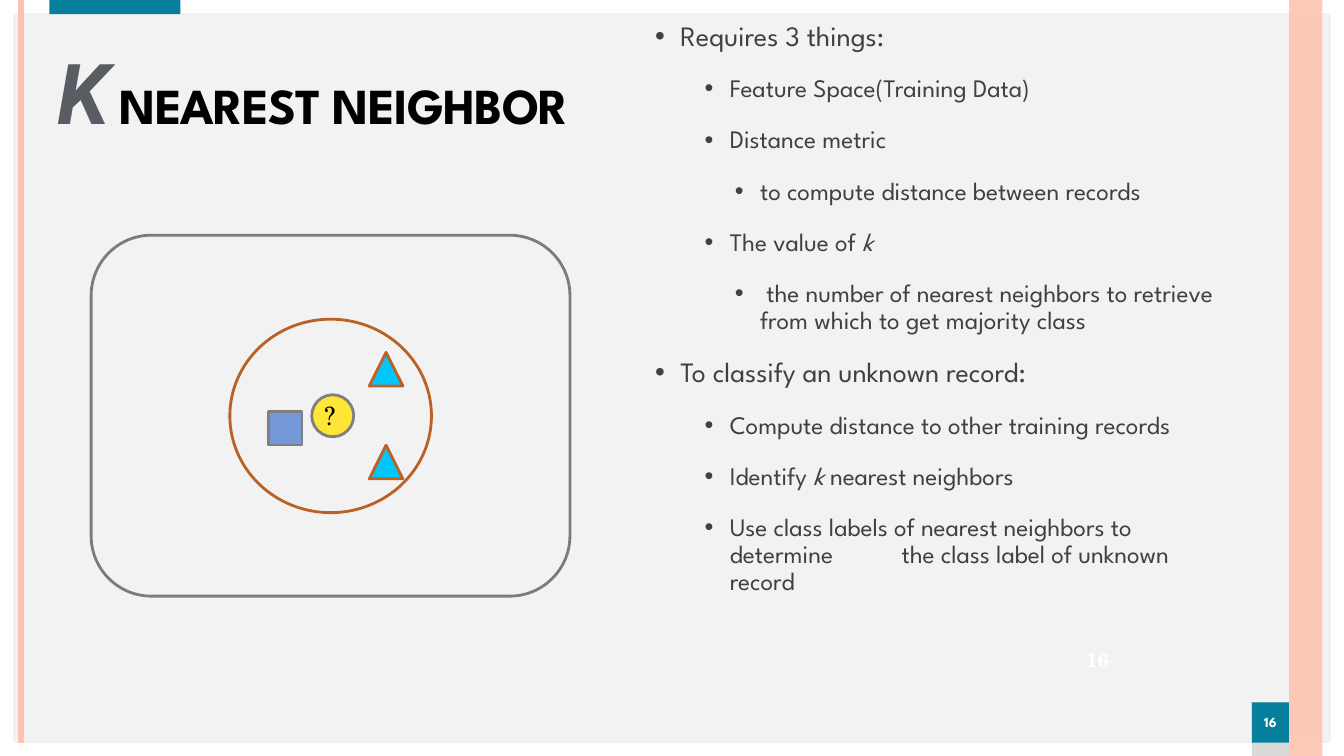
from pptx import Presentation
from pptx.dml.color import RGBColor
from pptx.enum.shapes import MSO_CONNECTOR, MSO_SHAPE
from pptx.enum.text import MSO_ANCHOR, MSO_AUTO_SIZE, PP_ALIGN
from pptx.oxml.ns import qn
from pptx.util import Pt
from lxml.etree import SubElement

COLORS = {
    "background": "F2F2F2", "white": "FFFFFF", "teal": "067F9C",
    "shade": "D9D9D9", "peach": "FEC3AE", "slate": "595D63",
    "black": "000000", "body": "404040", "panel": "777C84",
    "cyan": "01C6FD", "rust": "BB6126", "blue": "7598D9",
    "gray": "7F7F7F", "yellow": "FFE636",
}
SPARTAN, ROBOTO, SCHOLA = "League Spartan", "Roboto", "TeX Gyre Schola"
INDENTS = [18, 53.3, 74.9]
BULLETS = [
    (0, ["Requires 3 things:"]),
    (1, ["Feature Space(Training Data)"]),
    (1, ["Distance metric"]),
    (2, ["to compute distance between records"]),
    (1, ["The value of ", "k"]),
    (2, [" the number of nearest neighbors to retrieve from which to get majority class"]),
    (0, ["To classify an unknown record:"]),
    (1, ["Compute distance to other training records"]),
    (1, ["Identify ", "k", " nearest neighbors"]),
    (1, ["Use class labels of nearest neighbors to determine\tthe class label of unknown record"]),
]


def rgb(name):
    return RGBColor.from_string(COLORS[name])


def add_run(p, text, size=18, font=SPARTAN, color="body", bold=False, italic=False):
    r = p.add_run()
    r.text = text
    r.font.size = Pt(size)
    r.font.name = font
    r.font.color.rgb = rgb(color)
    r.font.bold = bold
    r.font.italic = italic
    return r


def set_frame(tf, left, top, right, bottom, anchor=MSO_ANCHOR.MIDDLE):
    tf.margin_left, tf.margin_top = Pt(left), Pt(top)
    tf.margin_right, tf.margin_bottom = Pt(right), Pt(bottom)
    tf.vertical_anchor = anchor
    tf.word_wrap = True
    tf.auto_size = MSO_AUTO_SIZE.NONE


def place(sp, x, y, w, h):
    sp.left, sp.top, sp.width, sp.height = Pt(x), Pt(y), Pt(w), Pt(h)


def add_figure(shapes, kind, x, y, w, h, fill=None, line=None, adj=None):
    sp = shapes.add_shape(kind, Pt(x), Pt(y), Pt(w), Pt(h))
    sp.shadow.inherit = False
    if adj is not None:
        sp.adjustments[0] = adj
    if fill:
        sp.fill.solid()
        sp.fill.fore_color.rgb = rgb(fill)
    else:
        sp.fill.background()
    if line:
        sp.line.color.rgb = rgb(line)
        sp.line.width = Pt(2)
    else:
        sp.line.fill.background()
    return sp


def add_label(shapes, text, x, y, w, h, **fmt):
    sp = shapes.add_textbox(Pt(x), Pt(y), Pt(w), Pt(h))
    set_frame(sp.text_frame, 3, 3, 6, 3)
    p = sp.text_frame.paragraphs[0]
    p.alignment = PP_ALIGN.CENTER
    add_run(p, text, **fmt)


def add_decor(shapes):
    add_figure(shapes, MSO_SHAPE.FRAME, 0, 0, 960, 540, "white", adj=0.017)
    add_figure(shapes, MSO_SHAPE.RECTANGLE, 35.3, 0, 93.6, 10.1, "teal")
    add_figure(shapes, MSO_SHAPE.RECTANGLE, 894.2, 501.8, 26.6, 38.2, "shade")
    badge = add_figure(shapes, MSO_SHAPE.RECTANGLE, 894.2, 501.8, 26.6, 28.8, "teal")
    set_frame(badge.text_frame, 0, 3.6, 0, 3.6)
    p = badge.text_frame.paragraphs[0]
    p.alignment = PP_ALIGN.CENTER
    p.line_spacing = 0.9
    add_run(p, "16", size=10, color="white", bold=True)

    stripe = shapes.add_connector(MSO_CONNECTOR.STRAIGHT, Pt(15.1), Pt(0), Pt(15.1), Pt(530.6))
    stripe.line.color.rgb = rgb("peach")
    stripe.line.width = Pt(4.5)
    SubElement(stripe.element.spPr, qn("a:effectLst"))

    band = add_figure(shapes, MSO_SHAPE.RECTANGLE, 920.9, 0, 23.8, 540, "peach")
    color = band.element.spPr.find(qn("a:solidFill")).find(qn("a:srgbClr"))
    SubElement(color, qn("a:alpha"), val="87000")


def fill_title(sp):
    place(sp, 33.8, 33.1, 588.2, 72.7)
    set_frame(sp.text_frame, 7.2, 3.6, 10.1, 3.6)
    p = sp.text_frame.paragraphs[0]
    p.alignment = PP_ALIGN.LEFT
    p.line_spacing = 0.9
    runs = [
        add_run(p, "K", size=60, font=ROBOTO, color="slate", bold=True, italic=True),
        add_run(p, " ", size=28, color="slate", bold=True, italic=True),
        add_run(p, "NEAREST NEIGHBOR", size=36, color="black", bold=True),
    ]
    for r in runs:
        r.font._element.set("spc", "-60")


def add_bullet(p, level, parts):
    p.level = level
    p.line_spacing = 0.9
    p.space_before = Pt(6)
    p.space_after = Pt(11)
    pPr = p._p.get_or_add_pPr()
    pPr.set("marL", str(Pt(INDENTS[level])))
    pPr.set("indent", str(Pt(-18)))
    SubElement(pPr, qn("a:buFont"), typeface="Arial")
    SubElement(pPr, qn("a:buChar"), char="•")
    if "\t" in parts[-1]:
        tabs = SubElement(pPr, qn("a:tabLst"))
        SubElement(tabs, qn("a:tab"), pos=str(Pt(176)), algn="l")
    for text in parts:
        add_run(p, text, size=18 if level else 20, italic=text == "k")


def fill_body(sp):
    place(sp, 460.8, 12.2, 434.2, 431.3)
    tf = sp.text_frame
    set_frame(tf, 7.2, 3.6, 10.1, 3.6, MSO_ANCHOR.TOP)
    for i, (level, parts) in enumerate(BULLETS):
        p = tf.add_paragraph() if i else tf.paragraphs[0]
        add_bullet(p, level, parts)
    tf.paragraphs[0].space_before = Pt(0)


def add_diagram(shapes):
    add_figure(shapes, MSO_SHAPE.ROUNDED_RECTANGLE, 65.1, 168, 342, 257.8, line="panel", adj=0.167)
    group = shapes.add_group_shape().shapes
    for y in (318, 251.7):
        add_figure(group, MSO_SHAPE.ISOSCELES_TRIANGLE, 263.8, y, 24, 24, "cyan", "rust")
    add_figure(group, MSO_SHAPE.RECTANGLE, 191.8, 293.8, 24, 24, "blue", "gray")
    add_figure(group, MSO_SHAPE.OVAL, 222.7, 282, 30, 30, "yellow", "gray")
    add_label(group, "?", 226.8, 283, 20.9, 28.1, font=SCHOLA, color="black")
    add_figure(group, MSO_SHAPE.OVAL, 164.2, 228, 144, 138.2, line="rust")


def main():
    prs = Presentation()
    prs.slide_width, prs.slide_height = Pt(960), Pt(540)
    s = prs.slides.add_slide(prs.slide_layouts[1])
    s.background.fill.solid()
    s.background.fill.fore_color.rgb = rgb("background")
    title, body = s.placeholders
    add_decor(s.shapes)
    for sp in (title, body):
        s.shapes.element.append(sp.element)
    fill_title(title)
    fill_body(body)
    add_diagram(s.shapes)
    add_label(s.shapes, "16", 763.5, 457.5, 44, 28, size=14, font=SCHOLA, color="white", bold=True)
    prs.save("out.pptx")


if __name__ == "__main__":
    main()
